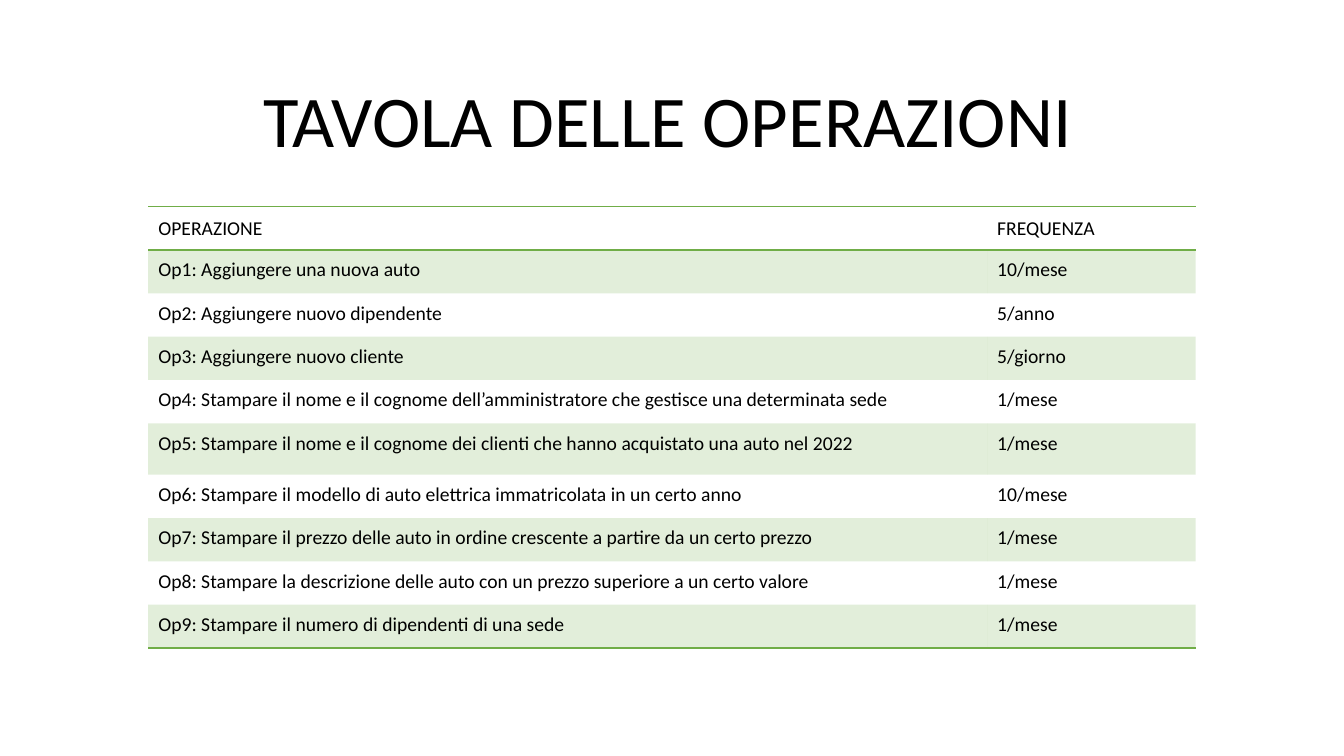
from dataclasses import dataclass

from lxml import etree
from pptx import Presentation
from pptx import util as u
from pptx.dml.color import RGBColor
from pptx.enum import text
from pptx.oxml.ns import qn

PX = 9144  # EMU per px, 100 px to the inch


@dataclass(frozen=True)
class Theme:
    font: str = "Calibri"
    ink: str = "000000"
    accent: str = "70AD47"
    band_alpha: int = 20
    title_size: int = 52
    table_size: int = 14
    rule_width: int = 1
    plain_table_style: str = "{2D5ABB26-0587-4C30-8999-92F81FD0307C}"


THEME = Theme()

TITLE = "TAVOLA DELLE OPERAZIONI"
HEADER = ("OPERAZIONE", "FREQUENZA")
OPERATIONS = [
    ("Aggiungere una nuova auto", "10/mese"),
    ("Aggiungere nuovo dipendente", "5/anno"),
    ("Aggiungere nuovo cliente", "5/giorno"),
    ("Stampare il nome e il cognome dell’amministratore che gestisce una determinata sede", "1/mese"),
    ("Stampare il nome e il cognome dei clienti che hanno acquistato una auto nel 2022", "1/mese"),
    ("Stampare il modello di auto elettrica immatricolata in un certo anno", "10/mese"),
    ("Stampare il prezzo delle auto in ordine crescente a partire da un certo prezzo", "1/mese"),
    ("Stampare la descrizione delle auto con un prezzo superiore a un certo valore", "1/mese"),
    ("Stampare il numero di dipendenti di una sede", "1/mese"),
]

COLUMN_WIDTHS = (832, 207)
ROW_HEIGHT = 43
TALL_ROW, TALL_ROW_HEIGHT = 5, 51


def px(*lengths):
    return [u.Emu(length * PX) for length in lengths]


def style_paragraph(paragraph, size):
    paragraph.font.name = THEME.font
    paragraph.font.size = u.Pt(size)
    paragraph.font.color.rgb = RGBColor.from_string(THEME.ink)


def add_title(slide, wording, box):
    title = slide.shapes.title
    title.left, title.top, title.width, title.height = px(*box)
    frame = title.text_frame
    frame.text = wording
    frame.word_wrap = True
    frame.auto_size = text.MSO_AUTO_SIZE.NONE
    frame.vertical_anchor = text.MSO_ANCHOR.MIDDLE
    paragraph = frame.paragraphs[0]
    paragraph.alignment = text.PP_ALIGN.LEFT
    paragraph.line_spacing = 0.9
    paragraph.space_after = u.Pt(6)
    style_paragraph(paragraph, THEME.title_size)


def add_rule(cell, side):
    """Draw one cell border; side is lnT or lnB."""
    properties = cell._tc.get_or_add_tcPr()
    line = etree.SubElement(properties, qn(f"a:{side}"), w=str(u.Pt(THEME.rule_width)))
    fill = etree.SubElement(line, qn("a:solidFill"))
    etree.SubElement(fill, qn("a:srgbClr"), val=THEME.accent)


def fill_band(cell):
    cell.fill.solid()
    cell.fill.fore_color.rgb = RGBColor.from_string(THEME.accent)
    color = cell._tc.tcPr.find(f"{qn('a:solidFill')}/{qn('a:srgbClr')}")
    etree.SubElement(color, qn("a:alpha"), val=str(THEME.band_alpha * 1000))


def write_cell(cell, wording, anchor):
    cell.text = wording
    cell.vertical_anchor = anchor
    cell.margin_left, cell.margin_top, cell.margin_right, cell.margin_bottom = px(10, 8, 9, 8)
    style_paragraph(cell.text_frame.paragraphs[0], THEME.table_size)


def add_operations_table(slide, left, top, rows):
    heights = [ROW_HEIGHT] * len(rows)
    heights[TALL_ROW] = TALL_ROW_HEIGHT
    frame = slide.shapes.add_table(
        len(rows), len(COLUMN_WIDTHS), *px(left, top, sum(COLUMN_WIDTHS), sum(heights)))
    table = frame.table
    table._tbl.tblPr.find(qn("a:tableStyleId")).text = THEME.plain_table_style
    for column, width in zip(table.columns, px(*COLUMN_WIDTHS)):
        column.width = width
    for row, height in zip(table.rows, px(*heights)):
        row.height = height

    last = len(rows) - 1
    for index, row in enumerate(rows):
        anchor = text.MSO_ANCHOR.TOP if index else text.MSO_ANCHOR.MIDDLE
        for column, wording in enumerate(row):
            cell = table.cell(index, column)
            write_cell(cell, wording, anchor)
            # Rules around the header and under the last row
            if index == 0:
                add_rule(cell, "lnT")
            if index in (0, last):
                add_rule(cell, "lnB")
            # Every odd row is banded
            if index % 2:
                fill_band(cell)
            else:
                cell.fill.background()


def main():
    presentation = Presentation()
    presentation.slide_width, presentation.slide_height = px(1333, 750)
    slide = presentation.slides.add_slide(presentation.slide_layouts.get_by_name("Title Only"))

    # Heading
    add_title(slide, TITLE, (251, 40, 830, 165))

    # Numbered operations with their frequency
    numbered = [(f"Op{number}: {operation}", frequency)
                for number, (operation, frequency) in enumerate(OPERATIONS, 1)]
    add_operations_table(slide, 147, 205, [HEADER, *numbered])

    presentation.save("out.pptx")


if __name__ == "__main__":
    main()
